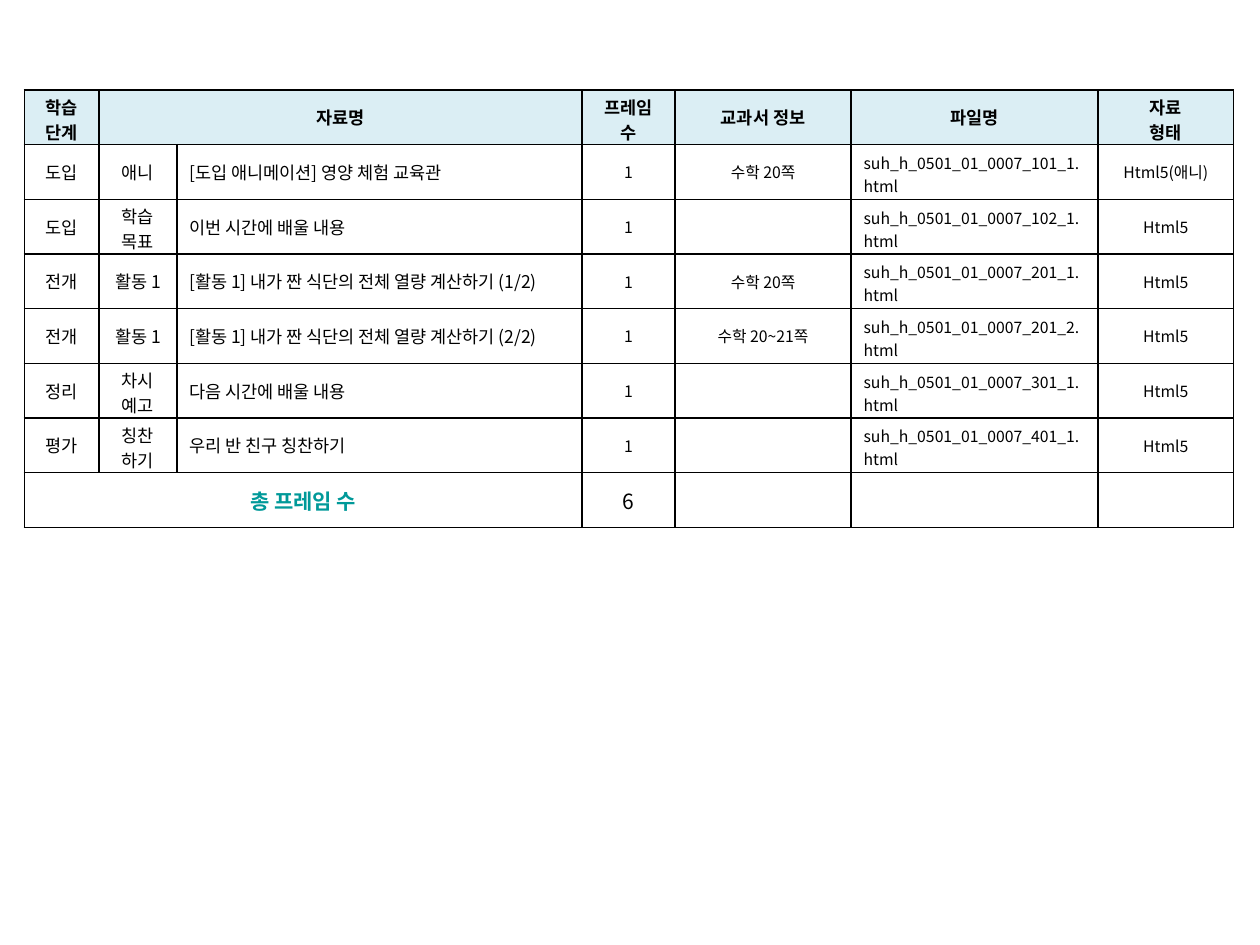
from lxml.etree import SubElement
from pptx import Presentation
from pptx.dml.color import RGBColor
from pptx.enum.text import MSO_ANCHOR, PP_ALIGN as AL
from pptx.oxml.ns import qn
from pptx.util import Pt

BLACK = RGBColor(0, 0, 0)
TEAL = RGBColor(0x00, 0x99, 0x99)
PALE_BLUE = RGBColor(0xDB, 0xEE, 0xF4)
FONT = "Noto Sans CJK KR"

COL_WIDTHS = [42.6, 44.6, 231.5, 53.2, 100.6, 141.2, 77.4]
ROW_HEIGHT = 31.25
BODY_SIZES = [10, 10, 10, 9, 9, 9, 9]
BODY_ALIGNS = [AL.CENTER, AL.CENTER, AL.LEFT, AL.CENTER, AL.CENTER, AL.JUSTIFY, AL.CENTER]
# Top and bottom margins that let two lines fit the row height
TWO_LINES = (2.2, 0)
TWO_SMALL_LINES = (3.6, 1)

HEADER = ["학습 단계", "자료명", "", "프레임 수", "교과서 정보", "파일명", "자료\n형태"]
TWO_LINE_TEXTS = {"학습 단계", "프레임 수", "자료\n형태", "학습 목표", "차시 예고", "칭찬\n하기"}
LESSONS = [
    ("도입", "애니", "[도입 애니메이션] 영양 체험 교육관", "수학 20쪽", "101_1", "Html5(애니)"),
    ("도입", "학습 목표", "이번 시간에 배울 내용", "", "102_1", "Html5"),
    ("전개", "활동 1", "[활동 1] 내가 짠 식단의 전체 열량 계산하기 (1/2)", "수학 20쪽", "201_1", "Html5"),
    ("전개", "활동 1", "[활동 1] 내가 짠 식단의 전체 열량 계산하기 (2/2)", "수학 20~21쪽", "201_2", "Html5"),
    ("정리", "차시 예고", "다음 시간에 배울 내용", "", "301_1", "Html5"),
    ("평가", "칭찬\n하기", "우리 반 친구 칭찬하기", "", "401_1", "Html5"),
]
TOTAL = ["총 프레임 수", "", "", "6", "", "", ""]


def write(tf, text, size=10, color=BLACK, bold=False, align=AL.CENTER):
    """Fill a text frame, one paragraph for each line of text."""
    for i, line in enumerate(text.split("\n")):
        p = tf.paragraphs[0] if i == 0 else tf.add_paragraph()
        p.alignment = align
        if not line:
            SubElement(p._p, qn("a:endParaRPr"), sz=str(size * 100))
            continue
        r = p.add_run()
        r.text = line
        r.font.size, r.font.bold, r.font.name = Pt(size), bold, FONT
        r.font.color.rgb = color
        r.font._element.set("kern", "0")
        SubElement(r.font._element, qn("a:ea"), typeface=FONT)


def margins(text):
    if text in TWO_LINE_TEXTS:
        return TWO_LINES
    return TWO_SMALL_LINES if text.endswith(".html") else (3.6, 3.6)


class Deck:
    def __init__(self, width, height):
        self.prs = Presentation()
        self.prs.slide_width, self.prs.slide_height = Pt(width), Pt(height)
        self.line_color, self.line_width = BLACK, 1

    def slide(self):
        self.s = self.prs.slides.add_slide(self.prs.slide_layouts[6])

    def table(self, left, top, widths, row_height, rows):
        frame = self.s.shapes.add_table(rows, len(widths), Pt(left), Pt(top),
                                        Pt(sum(widths)), Pt(row_height * rows))
        tbl = frame.table
        tbl.first_row = tbl.horz_banding = False
        for col, width in zip(tbl.columns, widths):
            col.width = Pt(width)
        for row in tbl.rows:
            row.height = Pt(row_height)
        return tbl

    def cell(self, cell, text, fill=None, **fmt):
        cell.vertical_anchor = MSO_ANCHOR.MIDDLE
        cell.margin_top, cell.margin_bottom = map(Pt, margins(text))
        self.borders(cell)
        if fill is None:
            cell.fill.background()
        else:
            cell.fill.solid()
            cell.fill.fore_color.rgb = fill
        write(cell.text_frame, text, **fmt)

    def borders(self, cell):
        tc_pr = cell._tc.get_or_add_tcPr()
        for side in "LRTB":
            ln = SubElement(tc_pr, qn(f"a:ln{side}"), w=str(Pt(self.line_width)))
            fill = SubElement(ln, qn("a:solidFill"))
            SubElement(fill, qn("a:srgbClr"), val=str(self.line_color))


def main():
    deck = Deck(720, 540)
    deck.slide()
    last = len(LESSONS) + 1
    tbl = deck.table(13.9, 51.4, COL_WIDTHS, ROW_HEIGHT, last + 1)

    for c, text in enumerate(HEADER):
        deck.cell(tbl.cell(0, c), text, fill=PALE_BLUE, bold=True)

    for r, (stage, kind, title, pages, number, form) in enumerate(LESSONS, 1):
        file_name = f"suh_h_0501_01_0007_{number}.html"
        values = [stage, kind, title, "1", pages, file_name, form]
        for c, (text, size, align) in enumerate(zip(values, BODY_SIZES, BODY_ALIGNS)):
            deck.cell(tbl.cell(r, c), text, size=size, align=align)

    for c, text in enumerate(TOTAL):
        label = c == 0
        deck.cell(tbl.cell(last, c), text, size=12, bold=label,
                  color=TEAL if label else BLACK)

    tbl.cell(0, 1).merge(tbl.cell(0, 2))
    tbl.cell(last, 0).merge(tbl.cell(last, 2))
    deck.prs.save("out.pptx")


if __name__ == "__main__":
    main()
